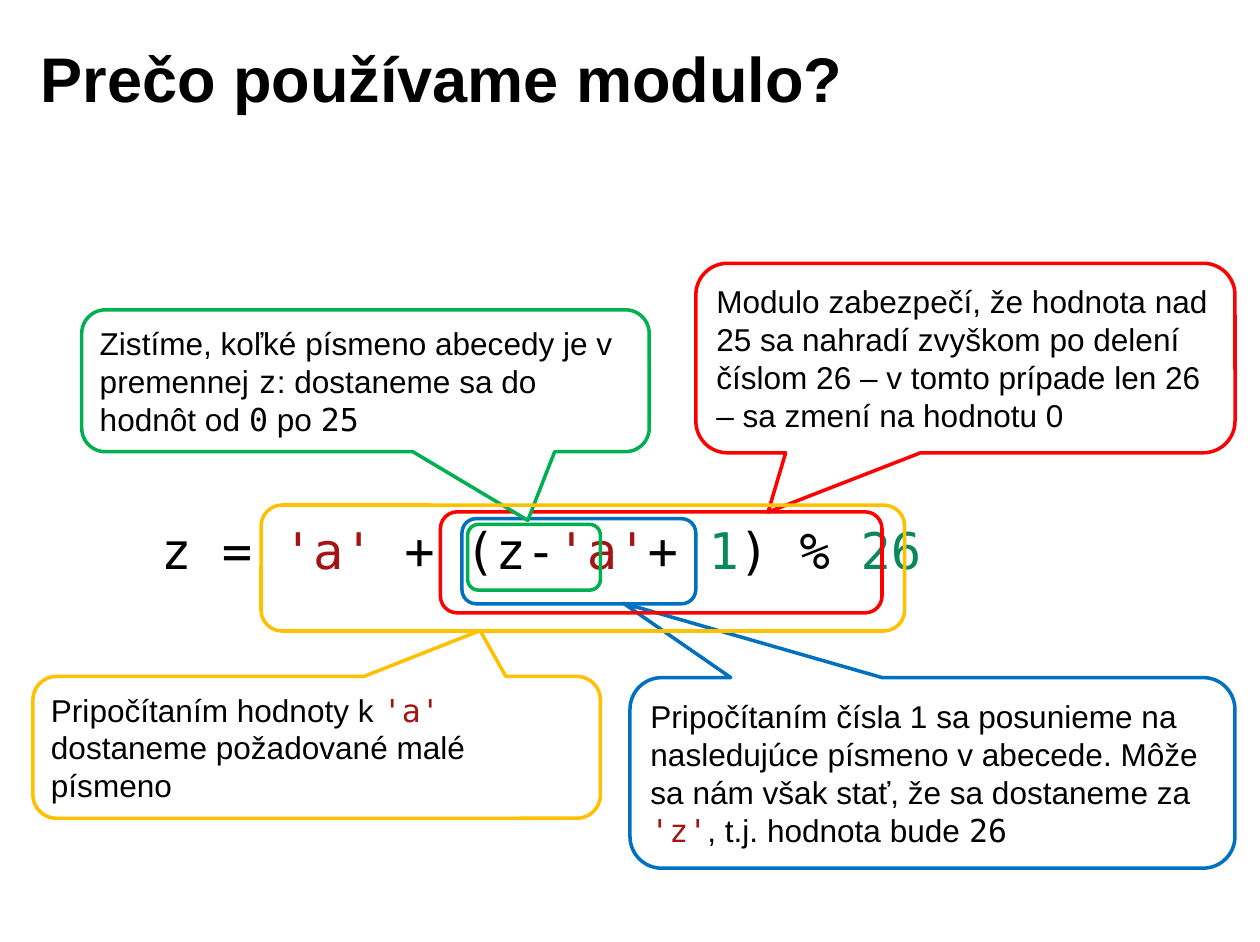
from pptx import Presentation
from pptx.dml.color import RGBColor
from pptx.enum.shapes import MSO_SHAPE
from pptx.enum.text import MSO_ANCHOR, PP_ALIGN
from pptx.util import Inches, Pt

UNIT = Inches(0.1)
COLUMNS, ROWS = 111, 83

BLACK = RGBColor(0x00, 0x00, 0x00)
WHITE = RGBColor(0xFF, 0xFF, 0xFF)
LITERAL = RGBColor(0xA3, 0x15, 0x15)
NUMBER = RGBColor(0x09, 0x88, 0x5A)
BLUE = RGBColor(0x00, 0x70, 0xC0)
RED = RGBColor(0xFF, 0x00, 0x00)
GREEN = RGBColor(0x00, 0xB0, 0x50)
YELLOW = RGBColor(0xFF, 0xC0, 0x00)

PROSE = ("Arial", BLACK)
CODE = ("DejaVu Sans Mono", BLACK)
CODE_LITERAL = ("DejaVu Sans Mono", LITERAL)
CODE_NUMBER = ("DejaVu Sans Mono", NUMBER)

FORMULA = [
    ("z = ", CODE), ("'a'", CODE_LITERAL), (" + (z-", CODE),
    ("'a'", CODE_LITERAL), ("+ ", CODE), ("1", CODE_NUMBER),
    (") % ", CODE), ("26", CODE_NUMBER),
]

EXPLANATIONS = [
    (BLUE, (40.7, 45.7, 20.6, 7.5), (55.5, 59.7, 53.3, 16.8), (-0.511, -0.89), [
        ("Pripočítaním čísla 1 sa posunieme na nasledujúce písmeno v abecede. "
         "Môže sa nám však stať, že sa dostaneme za ", PROSE),
        ("'z'", CODE_LITERAL), (", t.j. hodnota bude ", PROSE), ("26", CODE),
    ]),
    (RED, (38.8, 45.1, 38.9, 8.9), (61.3, 23.2, 47.5, 16.7), (-0.366, 0.813), [
        ("Modulo zabezpečí, že hodnota nad 25 sa nahradí zvyškom po delení "
         "číslom 26 – v tomto prípade len 26 – sa zmení na hodnotu 0", PROSE),
    ]),
    (GREEN, (41.2, 46.2, 11.7, 5.8), (7.2, 27.3, 50, 12.5), (0.286, 0.984), [
        ("Zistíme, koľké písmeno abecedy je v premennej ", PROSE), ("z", CODE),
        (": dostaneme sa do hodnôt od ", PROSE), ("0", CODE),
        (" po ", PROSE), ("25", CODE),
    ]),
    (YELLOW, (23, 44.5, 56.7, 11.1), (2.9, 59.6, 50, 12.5), (0.288, -0.823), [
        ("Pripočítaním hodnoty k ", PROSE), ("'a' ", CODE_LITERAL),
        ("dostaneme požadované malé písmeno", PROSE),
    ]),
]


def on_grid(cells):
    return [round(cell * UNIT) for cell in cells]


def write(frame, pieces, size):
    frame.vertical_anchor = MSO_ANCHOR.MIDDLE
    paragraph = frame.paragraphs[0]
    paragraph.alignment = PP_ALIGN.LEFT
    paragraph.font.size = Pt(size)
    for words, (typeface, color) in pieces:
        run = paragraph.add_run()
        run.text = words
        run.font.name = typeface
        run.font.color.rgb = color


def add_title(slide, words):
    title = slide.shapes.title
    title.left, title.top, title.width, title.height = on_grid((2.5, 1.7, 89.2, 10.2))
    frame = title.text_frame
    frame.margin_left = frame.margin_right = Inches(0.11)
    frame.margin_top = frame.margin_bottom = Inches(0.06)
    write(frame, [(words, PROSE)], 40)
    frame.paragraphs[0].font.bold = True


def add_formula(slide, cells):
    formula = slide.shapes.add_textbox(*on_grid(cells))
    frame = formula.text_frame
    frame.margin_left = frame.margin_right = 0
    frame.margin_top = frame.margin_bottom = 0
    write(frame, FORMULA, 32)


def add_outline(slide, kind, cells, color):
    outline = slide.shapes.add_shape(kind, *on_grid(cells))
    outline.shadow.inherit = False
    outline.fill.background()
    outline.line.color.rgb = color
    outline.line.width = Pt(2.25)
    return outline


def add_callout(slide, cells, color, tip, pieces):
    callout = add_outline(slide, MSO_SHAPE.ROUNDED_RECTANGULAR_CALLOUT, cells, color)
    callout.fill.solid()
    callout.fill.fore_color.rgb = WHITE
    callout.adjustments[0], callout.adjustments[1] = tip
    callout.text_frame.word_wrap = True
    write(callout.text_frame, pieces, 20)


def main():
    deck = Presentation()
    deck.slide_width, deck.slide_height = on_grid((COLUMNS, ROWS))
    slide = deck.slides.add_slide(deck.slide_layouts[5])
    add_title(slide, "Prečo používame modulo?")
    add_formula(slide, (14.2, 45.8, 67, 5.2))
    for color, term, note, tip, pieces in EXPLANATIONS:
        add_outline(slide, MSO_SHAPE.ROUNDED_RECTANGLE, term, color)
        add_callout(slide, note, color, tip, pieces)
    deck.save("out.pptx")


if __name__ == "__main__":
    main()
